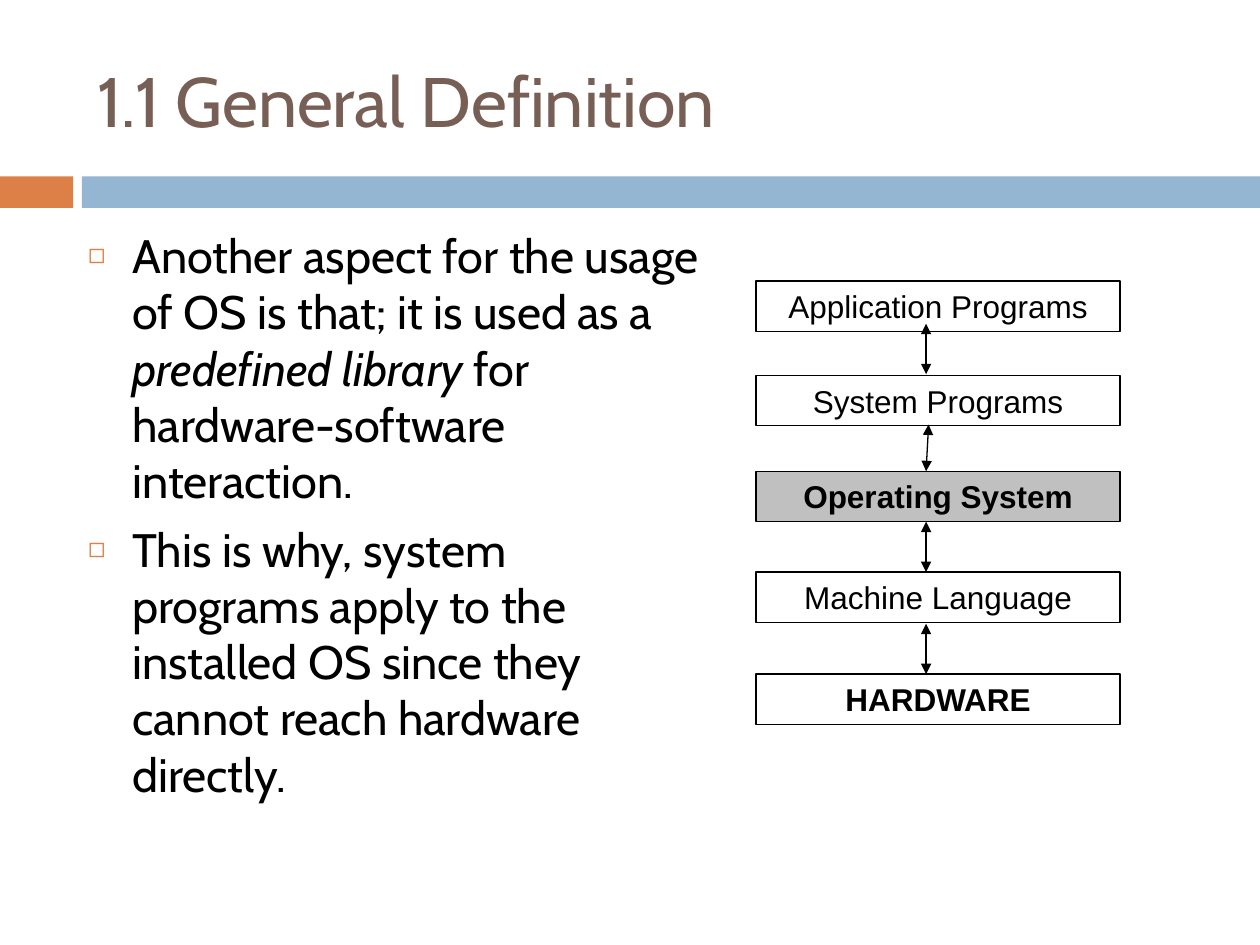
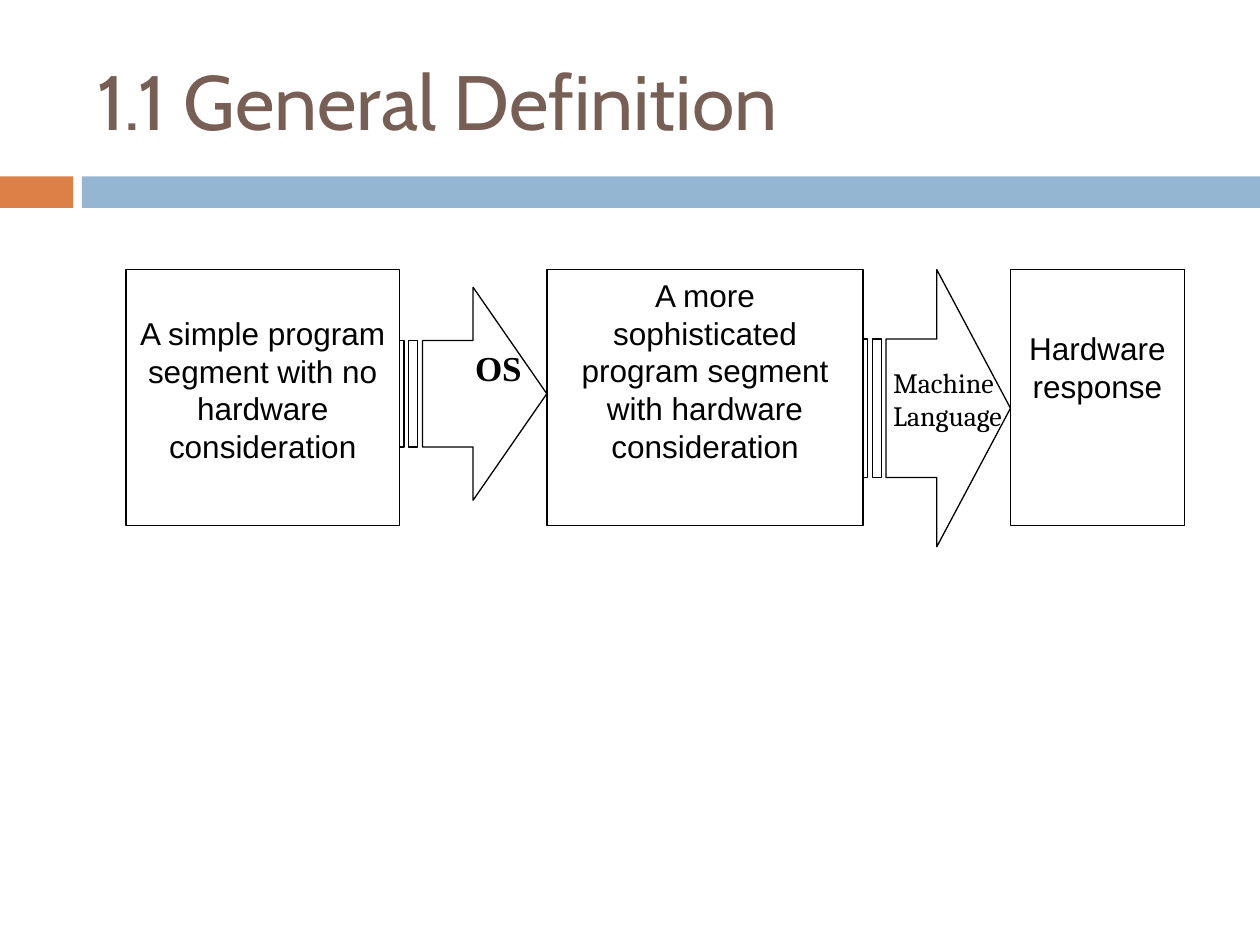
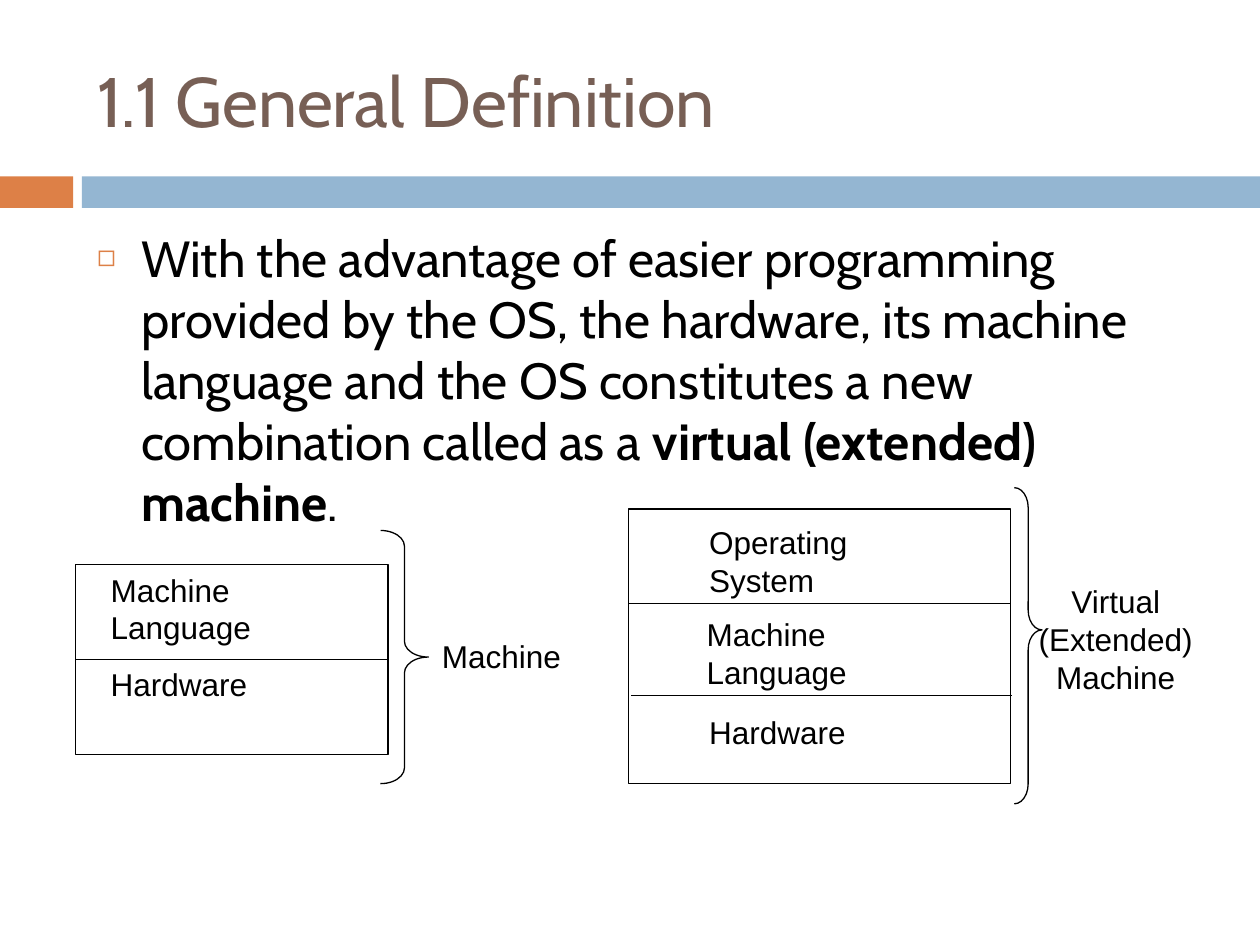
from dataclasses import dataclass

import pptx
import pptx.util
import pptx.dml.color
import pptx.enum.shapes
import pptx.enum.text
from lxml import etree
from pptx.oxml.ns import qn

Inches, Pt = pptx.util.Inches, pptx.util.Pt
SHAPES = pptx.enum.shapes.MSO_SHAPE
ALIGN = pptx.enum.text.PP_ALIGN
ANCHOR = pptx.enum.text.MSO_ANCHOR


@dataclass(frozen=True)
class Theme:
    title_color: str = "775F55"
    orange: str = "DD8047"
    blue: str = "94B6D2"
    ink: str = "000000"
    paper: str = "FFFFFF"
    highlight: str = "C0C0C0"
    main_font: str = "Cabin"
    diagram_font: str = "Arial"
    diagram_size: float = 18
    line_width: float = 0.75


THEME = Theme()
TITLE = "1.1 General Definition"
TITLE_AREA = (0.67, 0.25, 8.92, 1.08)
BANDS = [((0, 1.4, 0.58, 0.25), THEME.orange), ((0.65, 1.4, 9.35, 0.25), THEME.blue)]

# Runs are (text, emphasis), with emphasis "", "bold" or "italic".
USAGE_POINTS = [
    [("Another aspect for the usage of OS is that; it is used as a ", ""),
     ("predefined library", "italic"),
     (" for hardware-software interaction.", "")],
    [("This is why, system programs apply to the installed OS since they cannot "
      "reach hardware directly.", "")],
]
MACHINE_POINTS = [
    [("With the advantage of easier programming provided by the OS, the hardware, "
      "its machine language and the OS constitutes a new combination called as a ", ""),
     ("virtual (extended) machine", "bold"),
     (".", "")],
]

# Layers: text, top, bold, fill
LAYERS = [
    ("Application Programs", 2.23, False, THEME.paper),
    ("System Programs", 2.98, False, THEME.paper),
    ("Operating System", 3.74, True, THEME.highlight),
    ("Machine Language", 4.54, False, THEME.paper),
    ("HARDWARE", 5.35, True, THEME.paper),
]
LAYER_LEFT, LAYER_WIDTH, LAYER_HEIGHT = 6, 2.89, 0.4
LAYER_ARROWS = [
    ((7.35, 2.57), (7.35, 2.97)),
    ((7.37, 3.37), (7.35, 3.74)),
    ((7.35, 4.14), (7.35, 4.54)),
    ((7.35, 4.95), (7.35, 5.35)),
]

# Stages: text, left, width, top inset
STAGES = [
    ("A simple program segment with no hardware consideration", 1, 2.17, 0.35),
    ("A more sophisticated program segment with hardware consideration", 4.34, 2.51, 0.05),
    ("Hardware response", 8.02, 1.38, 0.47),
]
STAGE_TOP, STAGE_HEIGHT = 2.14, 2.03
STAGE_ARROWS = [(6.85, 2.14, 1.17, 2.2), (3.17, 2.28, 1.17, 1.69)]

MACHINE_BOX = (0.6, 4.48, 2.48, 1.51)
VIRTUAL_BOX = (4.99, 4.04, 3.03, 2.18)
VIRTUAL_DIVIDERS = [((5.01, 5.52), (8.03, 5.52)), ((4.99, 4.79), (8.02, 4.79))]
LABEL_HEIGHT = 0.75
PART_LABELS = [
    ("Machine Language", 0.78, 4.48, 2.12),
    ("Hardware", 0.78, 5.23, 2.12),
    ("Machine Language", 5.51, 4.83, 2.14),
    ("Hardware", 5.53, 5.61, 2.14),
    ("Operating System", 5.53, 4.1, 2.14),
]
# Braces: area, curl size, point position
BRACES = [((3.02, 4.21, 0.38, 2.01), 0.33, 0.5), ((8.05, 3.87, 0.22, 2.51), 0.72, 0.45)]


def rgb(color):
    return pptx.dml.color.RGBColor.from_string(color)


def inches(area):
    return [Inches(length) for length in area]


def move(shape, area):
    shape.left, shape.top, shape.width, shape.height = inches(area)


def set_font(font, name, size, color=THEME.ink, bold=None):
    font.name, font.size, font.bold = name, Pt(size), bold
    font.color.rgb = rgb(color)


def write(shape, lines, align=ALIGN.LEFT, font=THEME.diagram_font,
          size=THEME.diagram_size, bold=None, left_inset=0.1, top_inset=0.05):
    frame = shape.text_frame
    frame.word_wrap = True
    frame.vertical_anchor = ANCHOR.TOP
    frame.margin_left, frame.margin_top = Inches(left_inset), Inches(top_inset)
    frame.text = "\n".join(lines)
    for para in frame.paragraphs:
        para.alignment = align
        set_font(para.font, font, size, bold=bold)


def add_label(page, area, lines, **style):
    write(page.shapes.add_textbox(*inches(area)), lines, **style)


def add_outlined(page, kind, area, fill=THEME.paper):
    shape = page.shapes.add_shape(kind, *inches(area))
    shape.shadow.inherit = False
    if fill:
        shape.fill.solid()
        shape.fill.fore_color.rgb = rgb(fill)
    else:
        shape.fill.background()
    shape.line.color.rgb = rgb(THEME.ink)
    shape.line.width = Pt(THEME.line_width)
    return shape


def add_line(page, start, end, arrows=False):
    line = page.shapes.add_connector(
        pptx.enum.shapes.MSO_CONNECTOR.STRAIGHT, *inches(start + end))
    line.line.color.rgb = rgb(THEME.ink)
    line.line.width = Pt(THEME.line_width)
    if arrows:
        outline = line.line._get_or_add_ln()
        for tag in ("a:headEnd", "a:tailEnd"):
            etree.SubElement(outline, qn(tag), type="triangle")
    etree.SubElement(line.element.spPr, qn("a:effectLst"))
    return line


def add_bands_to_master(deck, page):
    """Make the bands on a page, then move them behind everything on the master."""
    tree = deck.slide_master.element.cSld.spTree
    for number, (area, color) in enumerate(BANDS):
        band = page.shapes.add_shape(SHAPES.RECTANGLE, *inches(area))
        band.shadow.inherit = False
        band.fill.solid()
        band.fill.fore_color.rgb = rgb(color)
        band.line.fill.background()
        band.element.nvSpPr.cNvPr.set("id", str(20 + number))
        tree.insert(2 + number, band.element)


def add_page(deck, layout_name, title_size):
    page = deck.slides.add_slide(deck.slide_layouts.get_by_name(layout_name))
    title = page.shapes.title
    move(title, TITLE_AREA)
    frame = title.text_frame
    frame.text = TITLE
    frame.vertical_anchor = ANCHOR.MIDDLE
    frame.auto_size = pptx.enum.text.MSO_AUTO_SIZE.NONE
    para = frame.paragraphs[0]
    para.alignment = ALIGN.LEFT
    set_font(para.font, THEME.main_font, title_size, THEME.title_color)
    return page


def add_bullet(para):
    properties = para._p.get_or_add_pPr()
    properties.set("marL", str(Inches(0.35)))
    properties.set("indent", str(Inches(-0.35)))
    color = etree.Element(qn("a:buClr"))
    etree.SubElement(color, qn("a:srgbClr"), val=THEME.orange)
    size = etree.Element(qn("a:buSzPct"), val="60000")
    mark = etree.Element(qn("a:buChar"), char="◻")
    defaults = properties.find(qn("a:defRPr"))
    for part in (color, size, mark):
        defaults.addprevious(part)


def fill_body(page, area, points, size):
    body = page.placeholders[1]
    move(body, area)
    frame = body.text_frame
    frame.auto_size = pptx.enum.text.MSO_AUTO_SIZE.NONE
    for number, runs in enumerate(points):
        para = frame.add_paragraph() if number else frame.paragraphs[0]
        para.space_before = Pt(7)
        set_font(para.font, THEME.main_font, size)
        add_bullet(para)
        for text, emphasis in runs:
            span = para.add_run()
            span.text = text
            if emphasis == "bold":
                span.font.bold = True
            elif emphasis == "italic":
                span.font.italic = True


def build_layers(deck):
    page = add_page(deck, "Title and Content", 40)
    add_bands_to_master(deck, page)
    fill_body(page, (0.6, 1.75, 5.07, 4.75), USAGE_POINTS, 26.8)
    for text, top, bold, fill in LAYERS:
        area = (LAYER_LEFT, top, LAYER_WIDTH, LAYER_HEIGHT)
        box = add_outlined(page, SHAPES.RECTANGLE, area, fill)
        write(box, [text], align=ALIGN.CENTER, bold=bold)
    for start, end in LAYER_ARROWS:
        add_line(page, start, end, arrows=True)


def build_stages(deck):
    page = add_page(deck, "Title Only", 44)
    for text, left, width, top_inset in STAGES:
        area = (left, STAGE_TOP, width, STAGE_HEIGHT)
        box = add_outlined(page, SHAPES.RECTANGLE, area)
        write(box, [text], align=ALIGN.CENTER, top_inset=top_inset)
    for area in STAGE_ARROWS:
        add_outlined(page, SHAPES.STRIPED_RIGHT_ARROW, area)
    add_label(page, (3.17, 2.7, 2.11, 0.68), ["OS"], font="Times New Roman",
              size=20, bold=True, left_inset=0.6)
    add_label(page, (6.99, 2.58, 1.17, 1.35), ["Machine Language"], font="Cambria",
              size=16, top_inset=0.32)


def build_machines(deck):
    page = add_page(deck, "Title and Content", 40)
    fill_body(page, (0.67, 1.75, 8.92, 4.92), MACHINE_POINTS, 29)
    machine = add_outlined(page, SHAPES.RECTANGLE, MACHINE_BOX)
    divider = add_line(page, (0.6, 5.23), (3.08, 5.23))
    divider.begin_connect(machine, 1)
    divider.end_connect(machine, 3)
    add_outlined(page, SHAPES.RECTANGLE, VIRTUAL_BOX)
    for start, end in VIRTUAL_DIVIDERS:
        add_line(page, start, end)
    for text, left, top, width in PART_LABELS:
        add_label(page, (left, top, width, LABEL_HEIGHT), [text])
    for area, curl, point in BRACES:
        brace = add_outlined(page, SHAPES.RIGHT_BRACE, area, fill=None)
        brace.adjustments[0], brace.adjustments[1] = curl, point
    add_label(page, (3.41, 5.01, 1.34, 0.4), ["Machine"], align=ALIGN.JUSTIFY)
    add_label(page, (8.13, 4.57, 1.45, 1), ["Virtual", "(Extended)", "Machine"],
              align=ALIGN.CENTER)


def main():
    deck = pptx.Presentation()
    deck.slide_width, deck.slide_height = Inches(10), Inches(7.5)
    build_layers(deck)
    build_stages(deck)
    build_machines(deck)
    deck.save("out.pptx")


if __name__ == "__main__":
    main()
